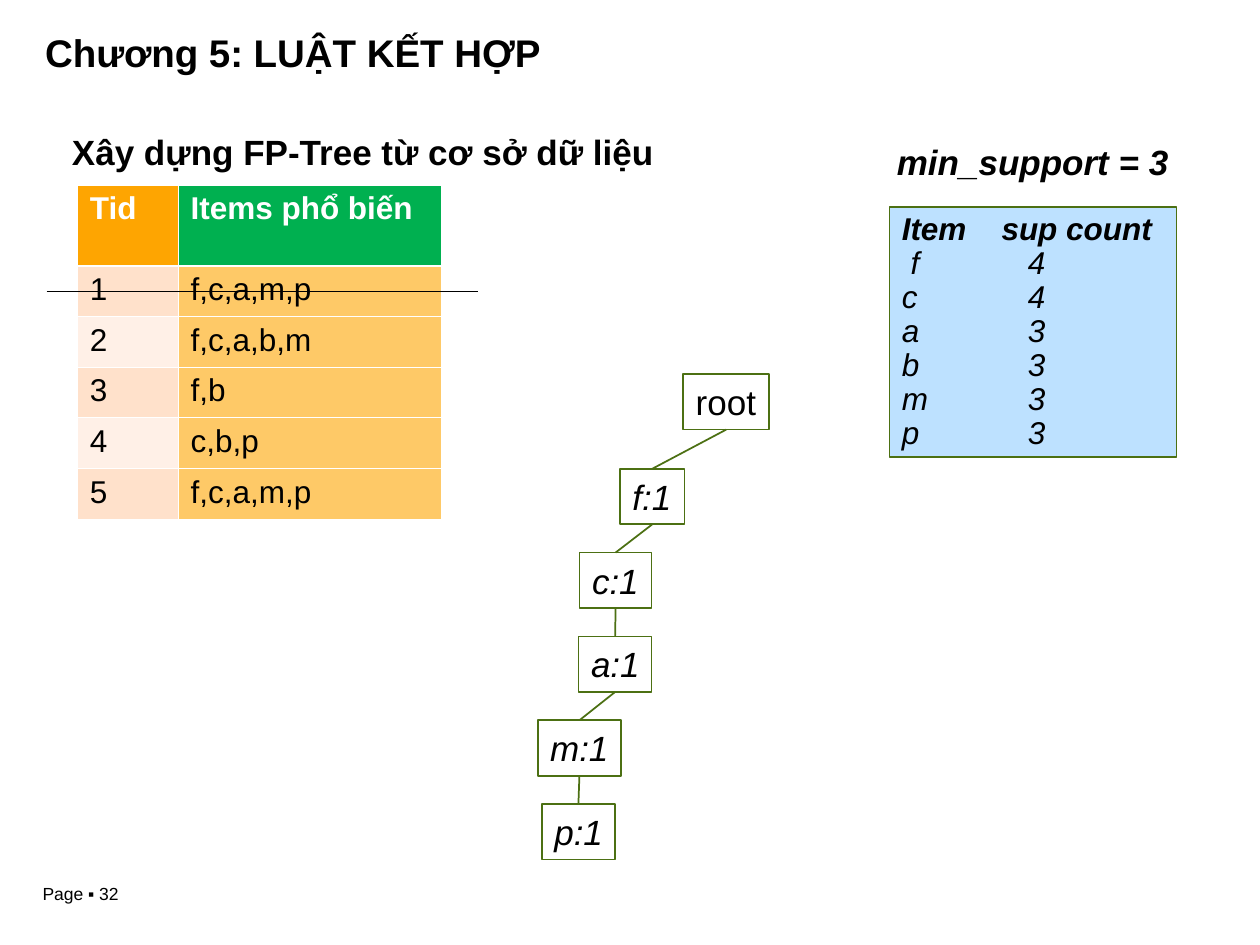
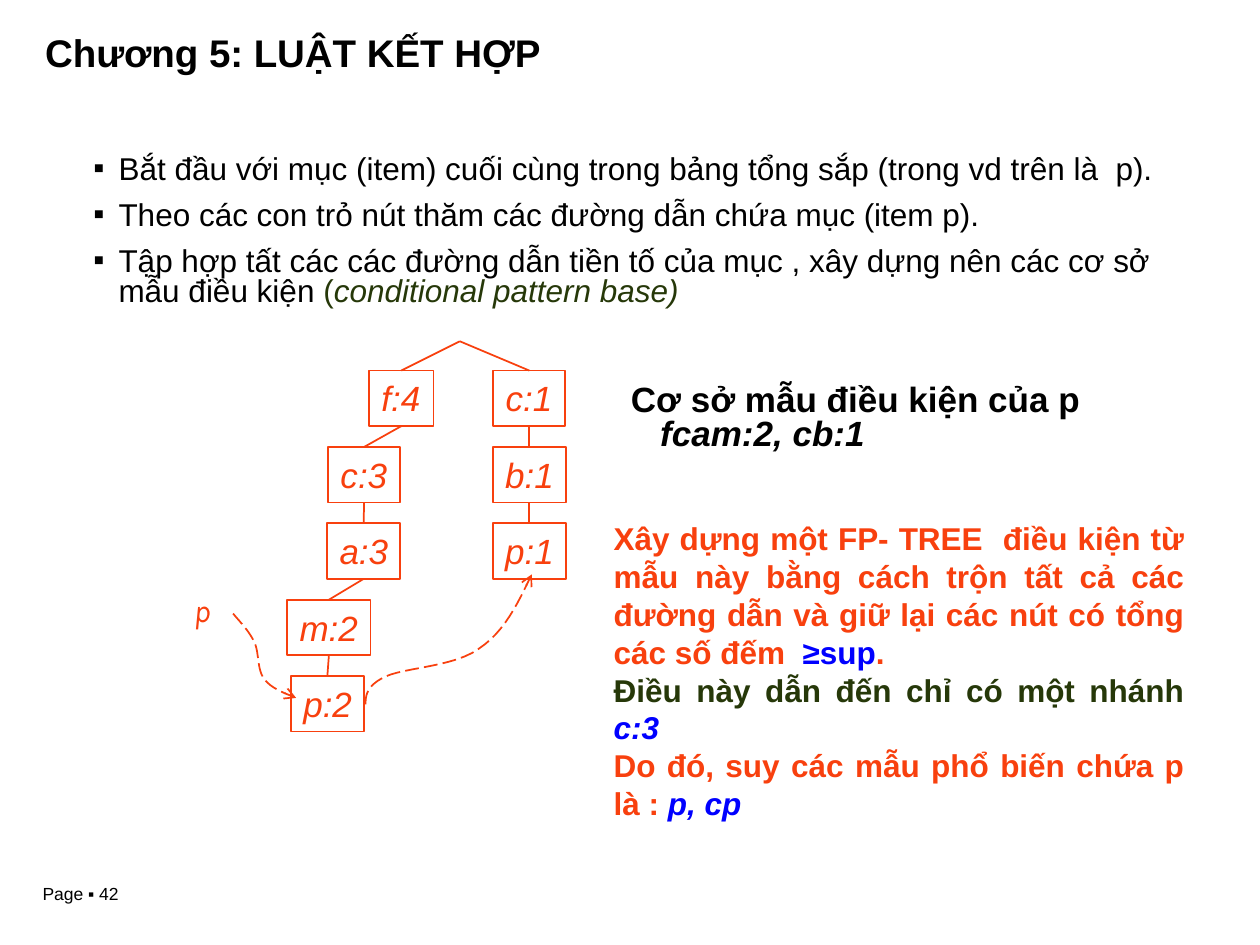
from dataclasses import dataclass
from itertools import pairwise
from typing import Optional

from lxml.etree import SubElement
from pptx import Presentation
from pptx.dml.color import RGBColor
from pptx.enum.dml import MSO_LINE
from pptx.enum.shapes import MSO_CONNECTOR, MSO_SHAPE
from pptx.enum.text import MSO_ANCHOR, MSO_AUTO_SIZE, PP_ALIGN
from pptx.oxml.ns import qn
from pptx.util import Cm, Pt

BLACK, WHITE, BLUE = "000000", "FFFFFF", "0000FF"
GREEN, DARK_GREEN, ORANGE = "4C7013", "263809", "F8400E"
CHAPTER = "Chương 5: LUẬT KẾT HỢP"
NODE_HEIGHT = 1.12
NODE_WIDTHS = {"r": 1.73, "f": 1.3, "c": 1.45, "a": 1.47, "b": 1.47, "m": 1.68, "p": 1.47}


@dataclass(frozen=True)
class Area:
    left: float
    top: float
    width: float
    height: float

    def lengths(self) -> tuple:
        return Cm(self.left), Cm(self.top), Cm(self.width), Cm(self.height)


@dataclass(frozen=True)
class Span:
    text: str
    color: str = BLACK
    bold: bool = False
    italic: bool = False


@dataclass(frozen=True)
class Para:
    spans: tuple
    spacing: float = 1.0
    align: PP_ALIGN = PP_ALIGN.LEFT
    after: float = 0
    indent: float = 0
    bullet: bool = False
    tab: Optional[float] = None


@dataclass(frozen=True)
class Node:
    label: str
    center: float
    top: float


CHAPTER_AREA = Area(0.91, 0.56, 23.67, 1.8)


def rgb(color: str) -> RGBColor:
    return RGBColor.from_string(color)


def set_line(line, color: str, width: float = 1) -> None:
    line.color.rgb = rgb(color)
    line.width = Pt(width)


def format_para(para, style: Para) -> None:
    para.alignment = style.align
    para.line_spacing = style.spacing
    para.space_before = Pt(0)
    para.space_after = Pt(style.after)
    properties = para._p.get_or_add_pPr()
    if style.indent:
        properties.set("marL", str(Cm(style.indent)))
        properties.set("indent", str(-Cm(style.indent) if style.bullet else 0))
    if style.bullet:
        SubElement(SubElement(properties, qn("a:buClr")), qn("a:srgbClr"), val=BLACK)
        SubElement(properties, qn("a:buChar"), char="▪")
    if style.tab:
        tabs = SubElement(properties, qn("a:tabLst"))
        SubElement(tabs, qn("a:tab"), pos=str(Cm(style.tab)), algn="l")


def write_text(frame, paras: list[Para], size: float, font: str = "Arial",
               side: float = 0.25, edge: float = 0.13, wrap: bool = True) -> None:
    frame.auto_size = MSO_AUTO_SIZE.NONE
    frame.word_wrap = wrap
    frame.vertical_anchor = MSO_ANCHOR.TOP
    frame.margin_left = frame.margin_right = Cm(side)
    frame.margin_top = frame.margin_bottom = Cm(edge)
    for index, style in enumerate(paras):
        para = frame.add_paragraph() if index else frame.paragraphs[0]
        format_para(para, style)
        for span in style.spans:
            run = para.add_run()
            run.text = span.text
            run.font.name = font
            run.font.size = Pt(size)
            run.font.bold = span.bold
            run.font.italic = span.italic
            run.font.color.rgb = rgb(span.color)


def add_text(page, area: Area, paras: list[Para], size: float, **options) -> None:
    write_text(page.shapes.add_textbox(*area.lengths()).text_frame, paras, size, **options)


def place(shape, area: Area) -> None:
    shape.left, shape.top, shape.width, shape.height = area.lengths()


def write_heading(shape, text: str, size: float) -> None:
    write_text(shape.text_frame, [Para((Span(text, bold=True),), 0.9)], size, side=0)


def add_page(deck, layout: int, number: int):
    page = deck.slides.add_slide(deck.slide_layouts[layout])
    add_text(page, Area(0.61, 17.68, 3.73, 0.69), [Para((Span(f"Page ▪ {number}"),))], 10)
    return page


def add_box(page, area: Area, color: str, fill: Optional[str] = None):
    box = page.shapes.add_shape(MSO_SHAPE.RECTANGLE, *area.lengths())
    box.shadow.inherit = False
    set_line(box.line, color)
    if fill:
        box.fill.solid()
        box.fill.fore_color.rgb = rgb(fill)
    else:
        box.fill.background()
    return box


def add_line(page, start: tuple, end: tuple, color: str, width: float = 1):
    points = [Cm(value) for value in (*start, *end)]
    line = page.shapes.add_connector(MSO_CONNECTOR.STRAIGHT, *points)
    set_line(line.line, color, width)
    SubElement(line._element.spPr, qn("a:effectLst"))
    return line


def add_branch(page, nodes: list[Node], color: str, text_color: str) -> None:
    boxes = []
    for node in nodes:
        width = NODE_WIDTHS[node.label[0]]
        box = add_box(page, Area(node.center - width / 2, node.top, width, NODE_HEIGHT), color)
        span = Span(node.label, text_color, italic=":" in node.label)
        write_text(box.text_frame, [Para((span,))], 20, wrap=False)
        boxes.append(box)
    for (parent, parent_box), (child, child_box) in pairwise(zip(nodes, boxes)):
        edge = add_line(page, (parent.center, parent.top + NODE_HEIGHT),
                        (child.center, child.top), color)
        edge.begin_connect(parent_box, 2)
        edge.end_connect(child_box, 0)


def chain(labels: list[str], centers: list[float], top: float, pitch: float) -> list[Node]:
    return [Node(label, center, top + row * pitch)
            for row, (label, center) in enumerate(zip(labels, centers))]


def bezier_points(start: tuple, curves: list[tuple], steps: int = 12) -> list[tuple]:
    points = [start]
    for first, second, end in curves:
        origin = points[-1]
        for step in range(1, steps + 1):
            t = step / steps
            weights = ((1 - t) ** 3, 3 * t * (1 - t) ** 2, 3 * t * t * (1 - t), t ** 3)
            corners = (origin, first, second, end)
            points.append(tuple(sum(w * corner[axis] for w, corner in zip(weights, corners))
                                for axis in (0, 1)))
    return points


def add_pointer(page, start: tuple, curves: list[tuple]) -> None:
    points = [(Cm(x), Cm(y)) for x, y in bezier_points(start, curves)]
    builder = page.shapes.build_freeform(*points[0])
    builder.add_line_segments(points[1:], close=False)
    pointer = builder.convert_to_shape()
    pointer.shadow.inherit = False
    pointer.fill.background()
    set_line(pointer.line, ORANGE)
    pointer.line.dash_style = MSO_LINE.LONG_DASH
    SubElement(pointer.line._get_or_add_ln(), qn("a:tailEnd"), type="arrow")


def format_cell(cell, text: str, fill: str, row: int) -> None:
    properties = cell._tc.get_or_add_tcPr()
    thick_side = {0: "B", 1: "T"}.get(row)
    for side in "LRTB":
        width = Pt(1.47 if side == thick_side else 0.45)
        border = SubElement(properties, qn(f"a:ln{side}"), w=str(width))
        SubElement(SubElement(border, qn("a:solidFill")), qn("a:srgbClr"), val=WHITE)
    cell.fill.solid()
    cell.fill.fore_color.rgb = rgb(fill)
    cell.text = text
    font = cell.text_frame.paragraphs[0].runs[0].font
    font.name, font.size, font.bold = "Arial", Pt(18), row == 0
    font.color.rgb = rgb(BLACK if row else WHITE)


def add_transactions(page) -> None:
    rows = ["Items phổ biến", "f,c,a,m,p", "f,c,a,b,m", "f,b", "c,b,p", "f,c,a,m,p"]
    area = Area(1.56, 3.73, 7.34, 6.71)
    table = page.shapes.add_table(len(rows), 2, *area.lengths()).table
    table.columns[0].width, table.columns[1].width = Cm(2.03), Cm(5.31)
    for row, items in enumerate(rows):
        table.rows[row].height = Cm(1.02 if row else 1.63)
        id_fill = ("FFF0E7", "FFE1CB")[row % 2] if row else "FEA501"
        format_cell(table.cell(row, 0), str(row) if row else "Tid", id_fill, row)
        format_cell(table.cell(row, 1), items, "FEC967" if row else "00B050", row)


def build_tree_page(deck) -> None:
    page = add_page(deck, 5, 32)
    place(page.shapes.title, Area(1.45, 2.59, 12.01, 1.22))
    write_heading(page.shapes.title, "Xây dựng FP-Tree từ cơ sở dữ liệu", 20)
    write_heading(page.shapes.add_textbox(*CHAPTER_AREA.lengths()), CHAPTER, 22)

    items = chain(["f:1", "c:1", "a:1", "m:1", "p:1"],
                  [13.15, 12.41, 12.4, 11.68, 11.66], 9.45, 1.69)
    add_branch(page, [Node("root", 14.64, 7.54), *items], GREEN, BLACK)

    counts = {" f": 4, "c": 4, "a": 3, "b": 3, "m": 3, "p": 3}
    header = Para((Span("Item\tsup count", bold=True, italic=True),), 0.9, tab=2.01)
    lines = [Para((Span(f"{item}\t{count}", italic=True),), 0.9, tab=2.54)
             for item, count in counts.items()]
    count_box = add_box(page, Area(17.93, 4.17, 5.79, 5.05), GREEN, "BDE1FF")
    write_text(count_box.text_frame, [header, *lines], 18)
    support = Span("min_support = 3", bold=True, italic=True)
    add_text(page, Area(17.83, 3, 6.15, 0.76), [Para((support,), 0.6)], 20)

    add_transactions(page)
    add_line(page, (0.94, 5.87), (9.63, 5.87), BLACK, 0.75)


def build_pattern_page(deck) -> None:
    page = add_page(deck, 1, 42)
    place(page.shapes.title, CHAPTER_AREA)
    write_heading(page.shapes.title, CHAPTER, 22)

    steps = [
        (Span("Bắt đầu với mục (item) cuối cùng trong bảng tổng sắp (trong vd trên là  p)."),),
        (Span("Theo các con trỏ nút thăm các đường dẫn chứa mục (item p)."),),
        (Span("Tập hợp tất các các đường dẫn tiền tố của mục , xây dựng nên các cơ sở mẫu điều kiện "),
         Span("(", DARK_GREEN), Span("conditional pattern base)", DARK_GREEN, italic=True)),
    ]
    body = page.placeholders[1]
    place(body, Area(1.88, 3.15, 21.87, 4.65))
    write_text(body.text_frame, [Para(spans, 0.8, after=9, indent=0.51, bullet=True)
                                 for spans in steps], 18, side=0, edge=0)

    add_text(page, Area(12.47, 7.49, 10.59, 1.78), [
        Para((Span("Cơ sở mẫu điều kiện của p", bold=True),)),
        Para((Span("fcam:2, cb:1", bold=True, italic=True),), 0.8, indent=0.59),
    ], 20)

    left = chain(["f:4", "c:3", "a:3", "m:2", "p:2"], [8.09, 7.34, 7.33, 6.63, 6.6], 7.47, 1.54)
    right = chain(["c:1", "b:1", "p:1"], [10.67] * 3, 7.47, 1.54)
    for branch in (left, right):
        add_branch(page, branch, ORANGE, ORANGE)
        add_line(page, (9.27, 6.88), (branch[0].center, branch[0].top), ORANGE)

    add_pointer(page, (4.7, 12.37), [
        ((4.85, 12.55), (5.03, 12.73), (5.13, 12.95)),
        ((5.23, 13.16), (5.18, 13.51), (5.33, 13.69)),
        ((5.46, 13.87), (5.72, 13.97), (5.97, 14.07)),
    ])
    add_pointer(page, (7.37, 14.2), [
        ((7.37, 14.02), (7.39, 13.82), (7.77, 13.64)),
        ((8.15, 13.46), (9.17, 13.44), (9.65, 13.08)),
        ((10.16, 12.75), (10.44, 12.17), (10.72, 11.58)),
    ])
    add_text(page, Area(3.66, 11.79, 0.86, 1.02), [Para((Span("p", ORANGE, italic=True),))],
             18, font="Karla", wrap=False)

    conclusions = [
        (Span("Xây dựng một FP- TREE  điều kiện từ mẫu này bằng cách trộn tất cả các đường dẫn "
              "và giữ lại các nút có tổng các số đếm  ", ORANGE, True),
         Span("≥sup", BLUE, True), Span(".", ORANGE, True)),
        (Span("Điều này dẫn đến chỉ có một nhánh ", DARK_GREEN, True),
         Span("c:3", BLUE, True, True)),
        (Span("Do đó, suy các mẫu phổ biến chứa p là : ", ORANGE, True),
         Span("p, cp", BLUE, True, True)),
    ]
    add_text(page, Area(12.12, 10.34, 12.01, 6.35),
             [Para(spans, align=PP_ALIGN.JUSTIFY) for spans in conclusions], 18)


def main() -> None:
    deck = Presentation()
    deck.slide_width, deck.slide_height = Cm(25.4), Cm(19.05)
    build_tree_page(deck)
    build_pattern_page(deck)
    deck.save("out.pptx")


if __name__ == "__main__":
    main()
